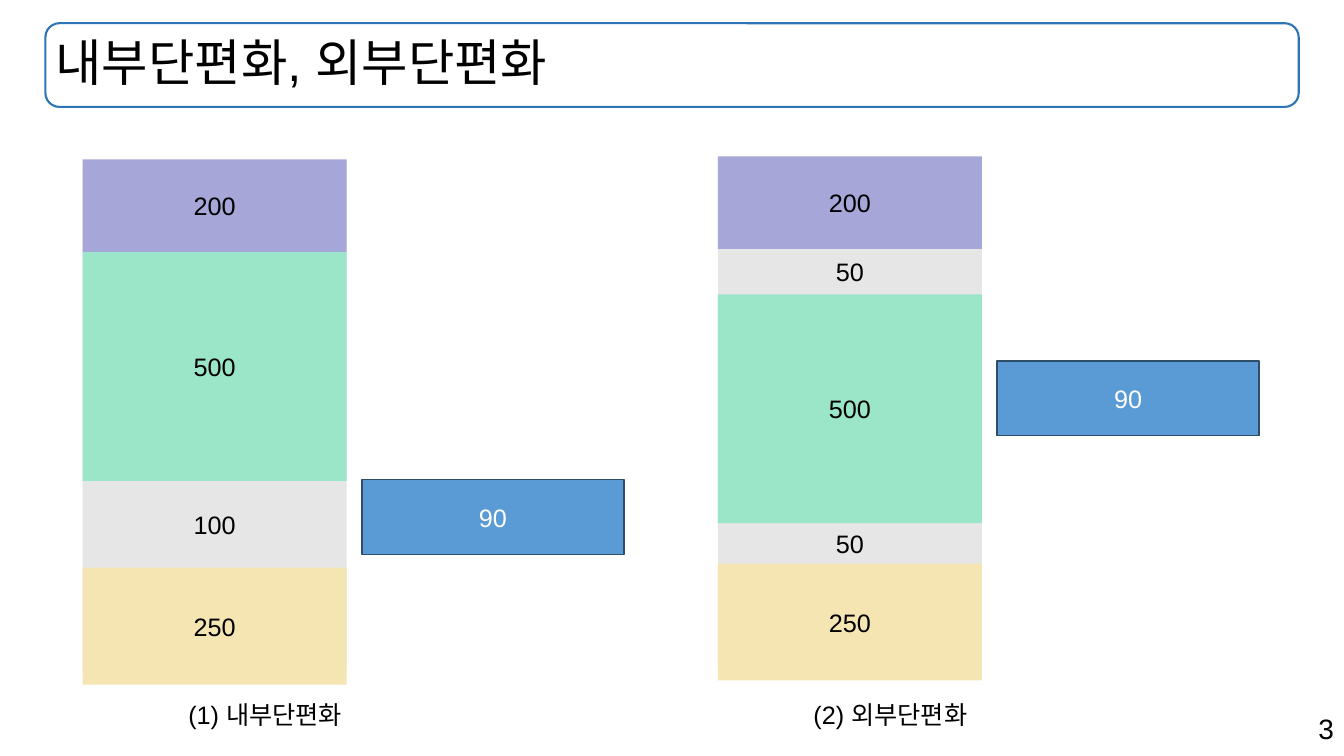
from dataclasses import dataclass

from lxml import etree
from pptx import Presentation
from pptx import util as u
from pptx.dml.color import RGBColor
from pptx.enum import shapes, text
from pptx.oxml import ns


@dataclass(frozen=True)
class Theme:
    font: str = "Arial"
    title_size: int = 36
    page_size: int = 20
    body_size: int = 18
    ink: str = "000000"
    light: str = "FFFFFF"
    frame: str = "2E75B6"
    free: str = "E7E6E6"
    violet: str = "A6A7D8"
    green: str = "9BE5C8"
    sand: str = "F4E5B2"
    process: str = "5B9BD5"
    process_line: str = "2D4D6A"


# Lengths are columns and rows of a grid of 100 by 100 cells
STACK_WIDTH = 19.65
PROCESS_OFFSET, PROCESS_WIDTH, PROCESS_HEIGHT = 20.78, 19.5, 9.87
LABEL_WIDTH, LABEL_HEIGHT = 4.5, 5.33


def write(frame, words, size, color, font, align=text.PP_ALIGN.LEFT,
          anchor=text.MSO_ANCHOR.TOP, wrap=True, spacing=None, tab=None):
    frame.word_wrap = wrap
    frame.auto_size = text.MSO_AUTO_SIZE.NONE
    frame.vertical_anchor = anchor
    frame.text = words
    paragraph = frame.paragraphs[0]
    paragraph.alignment = align
    if spacing:
        paragraph.line_spacing = spacing
    if tab:
        stops = etree.SubElement(paragraph._p.get_or_add_pPr(), ns.qn("a:tabLst"))
        etree.SubElement(stops, ns.qn("a:tab"), pos=str(tab), algn="l")
    for run in paragraph.runs:
        run.font.name = font
        run.font.size = u.Pt(size)
        run.font.color.rgb = RGBColor.from_string(color)


class SlideBuilder:
    def __init__(self, presentation, theme):
        self.theme = theme
        self.column = presentation.slide_width / 100
        self.row = presentation.slide_height / 100
        self.slide = presentation.slides.add_slide(presentation.slide_layouts[5])

    def place(self, left, top, width, height):
        return (u.Emu(round(left * self.column)), u.Emu(round(top * self.row)),
                u.Emu(round(width * self.column)), u.Emu(round(height * self.row)))

    def title(self, words, *cells):
        title = self.slide.shapes.title
        title.left, title.top, title.width, title.height = self.place(*cells)
        write(title.text_frame, words, self.theme.title_size, self.theme.ink,
              self.theme.font, anchor=text.MSO_ANCHOR.MIDDLE, spacing=0.9)

    def box(self, cells, words="", fill=None, line=None, weight=1, color=None,
            kind=shapes.MSO_SHAPE.RECTANGLE, parent=None):
        shape = (parent or self.slide).shapes.add_shape(kind, *self.place(*cells))
        shape.shadow.inherit = False
        if fill:
            shape.fill.solid()
            shape.fill.fore_color.rgb = RGBColor.from_string(fill)
        else:
            shape.fill.background()
        if line:
            shape.line.color.rgb = RGBColor.from_string(line)
            shape.line.width = u.Pt(weight)
        else:
            shape.line.fill.background()
        if words:
            write(shape.text_frame, words, self.theme.body_size,
                  color or self.theme.ink, self.theme.font,
                  align=text.PP_ALIGN.CENTER, anchor=text.MSO_ANCHOR.MIDDLE)

    def label(self, cells, words, size=None, parent=None, **form):
        shape = (parent or self.slide).shapes.add_textbox(*self.place(*cells))
        write(shape.text_frame, words, size or self.theme.body_size,
              self.theme.ink, self.theme.font, **form)

    def memory(self, left, top, blocks, process_top):
        """Stack the blocks downwards; a block without a fill is free memory."""
        group = self.slide.shapes.add_group_shape()
        self.box((left, top + 0.13, STACK_WIDTH, 67.47), fill=self.theme.free,
                 parent=group)
        for words, height, fill in blocks:
            if fill:
                self.box((left, top, STACK_WIDTH, height), words, fill, parent=group)
            else:
                self.label((left + (STACK_WIDTH - LABEL_WIDTH) / 2,
                            top + (height - LABEL_HEIGHT) / 2,
                            LABEL_WIDTH, LABEL_HEIGHT), words, parent=group,
                           align=text.PP_ALIGN.CENTER, wrap=False)
            top += height
        self.box((left + PROCESS_OFFSET, process_top, PROCESS_WIDTH, PROCESS_HEIGHT),
                 "90", self.theme.process, self.theme.process_line,
                 color=self.theme.light, parent=group)


def main():
    presentation = Presentation()
    presentation.slide_width = u.Inches(13.33)
    presentation.slide_height = u.Inches(7.5)
    theme = Theme()
    builder = SlideBuilder(presentation, theme)

    # Title in its rounded frame
    header = (3.38, 3.07, 93.25, 11.07)
    builder.box(header, line=theme.frame, weight=1.5,
                kind=shapes.MSO_SHAPE.ROUNDED_RECTANGLE)
    builder.title("내부단편화, 외부단편화", *header)

    # Internal and external fragmentation
    used_200 = ("200", 12.27, theme.violet)
    used_500 = ("500", 30.27, theme.green)
    used_250 = ("250", 15.47, theme.sand)
    builder.memory(6.15, 21.07,
                   [used_200, used_500, ("100", 11.47, None), used_250], 63.47)
    builder.memory(53.41, 20.67,
                   [used_200, ("50", 6, None), used_500, ("50", 5.33, None), used_250],
                   47.73)

    # Captions and page number
    builder.label((13.28, 91.87, 61, LABEL_HEIGHT), "(1) 내부단편화\t(2) 외부단편화",
                  tab=u.Inches(6.2))
    builder.label((70.74, 93.47, 29.26, 5.87), "3", theme.page_size,
                  align=text.PP_ALIGN.RIGHT)

    presentation.save("out.pptx")


if __name__ == "__main__":
    main()
